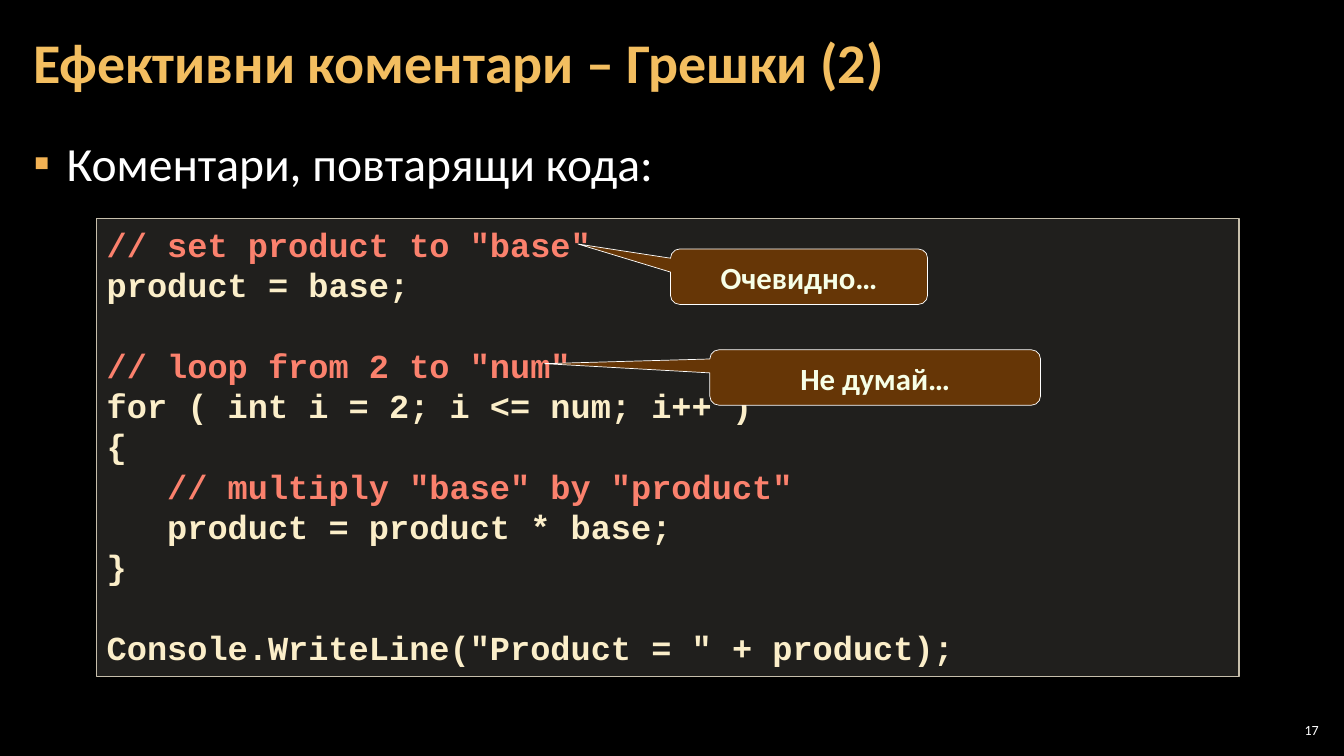
import pptx
import pptx.util
import pptx.dml.color
import pptx.enum.shapes
import pptx.enum.text
import pptx.oxml
from lxml import etree
from pptx.util import Inches

NS = "http://schemas.openxmlformats.org/drawingml/2006/main"
SHAPE = pptx.enum.shapes.MSO_SHAPE
ALIGN = pptx.enum.text.PP_ALIGN
ANCHOR = pptx.enum.text.MSO_ANCHOR
FIT = pptx.enum.text.MSO_AUTO_SIZE


def paint(target, tone):
    """Give a colour to a font or a fill."""
    if hasattr(target, "solid"):
        target.solid()
        target.fore_color.rgb = pptx.dml.color.RGBColor.from_string(tone)
    else:
        target.color.rgb = pptx.dml.color.RGBColor.from_string(tone)


def write(par, text, size=24, face="Calibri", tone="FFFFFF", bold=False,
          align=ALIGN.LEFT, space=None, before=0, after=0):
    par.alignment = align
    par.line_spacing = space
    par.space_before = pptx.util.Pt(before)
    par.space_after = pptx.util.Pt(after)
    run = par.add_run()
    run.text = text
    font = run.font
    font.size, font.name, font.bold = pptx.util.Pt(size), face, bold
    paint(font, tone)


class Deck:
    GOLD, CREAM, RED = "F3BE60", "FBEEC9", "FB816D"

    def __init__(self):
        self.show = pptx.Presentation()
        self.show.slide_width = Inches(13.33)
        self.show.slide_height = Inches(7.5)
        self.slide = self.show.slides.add_slide(self.show.slide_layouts[1])
        paint(self.slide.background.fill, "000000")

    def place(self, item, box):
        item.left, item.top, item.width, item.height = map(Inches, box)

    def frame(self, item, side=0.1, edge=0.05, anchor=ANCHOR.TOP):
        frame = item.text_frame
        frame.word_wrap = True
        frame.auto_size = FIT.NONE
        frame.vertical_anchor = anchor
        frame.margin_left = frame.margin_right = Inches(side)
        frame.margin_top = frame.margin_bottom = Inches(edge)
        return frame

    def title(self, text, box):
        item = self.slide.shapes.title
        self.place(item, box)
        frame = self.frame(item, 0.12, 0.04, ANCHOR.MIDDLE)
        write(frame.paragraphs[0], text, size=40, tone=self.GOLD,
              bold=True, space=0.9)

    def body(self, text, box):
        item = self.slide.placeholders[1]
        self.place(item, box)
        par = self.frame(item, 0.12, 0.04).paragraphs[0]
        props = par._p.get_or_add_pPr()
        props.set("marL", str(Inches(0.33)))
        props.set("indent", str(-Inches(0.33)))
        tint = etree.SubElement(props, f"{{{NS}}}buClr")
        etree.SubElement(tint, f"{{{NS}}}srgbClr", val="F2B254")
        etree.SubElement(props, f"{{{NS}}}buChar", char="▪")
        write(par, text, size=34, space=1.05, after=6)

    def shape(self, kind, box, fill, line, width):
        item = self.slide.shapes.add_shape(kind, *map(Inches, box))
        item.shadow.inherit = False
        paint(item.fill, fill)
        paint(item.line.fill, line)
        item.line.width = pptx.util.Pt(width)
        return item

    def code(self, text, box):
        item = self.shape(SHAPE.RECTANGLE, box, "D9D5C7", "C7BFAC", 1)
        tint = item.fill._xPr.find(f"{{{NS}}}solidFill")[0]
        etree.SubElement(tint, f"{{{NS}}}alpha", val="15000")
        frame = self.frame(item)
        par, gap = frame.paragraphs[0], 0
        for line in text.splitlines():
            if not line:
                gap = 28.8  # height of one empty code line
                continue
            if par.runs:
                par = frame.add_paragraph()
            note = line.lstrip().startswith("//")
            write(par, line, face="Courier New", bold=True, before=gap,
                  tone=self.RED if note else self.CREAM)
            gap = 0

    def callout(self, text, box, tip):
        item = self.shape(SHAPE.ROUNDED_RECTANGULAR_CALLOUT, box,
                          "663606", "FFFFFF", 0.5)
        item.adjustments[0], item.adjustments[1] = tip
        write(self.frame(item).paragraphs[0], text, size=22, tone="F7FFE7",
              bold=True, align=ALIGN.CENTER, space=pptx.util.Pt(28))

    def number(self, text, box):
        item = self.slide.shapes.add_textbox(*map(Inches, box))
        frame = self.frame(item, 0.04, 0.04, ANCHOR.MIDDLE)
        write(frame.paragraphs[0], text, size=10, align=ALIGN.RIGHT)


CODE = '''// set product to "base"
product = base;

// loop from 2 to "num"
for ( int i = 2; i <= num; i++ )
{
   // multiply "base" by "product"
   product = product * base;
}

Console.WriteLine("Product = " + product);'''


def main():
    deck = Deck()
    # Heading and list
    deck.title("Ефективни коментари – Грешки (2)", (0.21, 0.04, 12.91, 1.21))
    deck.body("Коментари, повтарящи кода:", (0.21, 1.26, 12.91, 6.09))
    # Code with remarks
    deck.code(CODE, (0.96, 2.17, 11.33, 4.54))
    deck.callout("Очевидно…", (6.65, 2.47, 2.55, 0.55), (-0.86, -0.59))
    deck.callout("Не думай…", (7.04, 3.47, 3.28, 0.55), (-1, -0.25))
    # Page number
    deck.number("17", (12.65, 7.14, 0.47, 0.21))
    deck.show.save("out.pptx")


if __name__ == "__main__":
    main()
